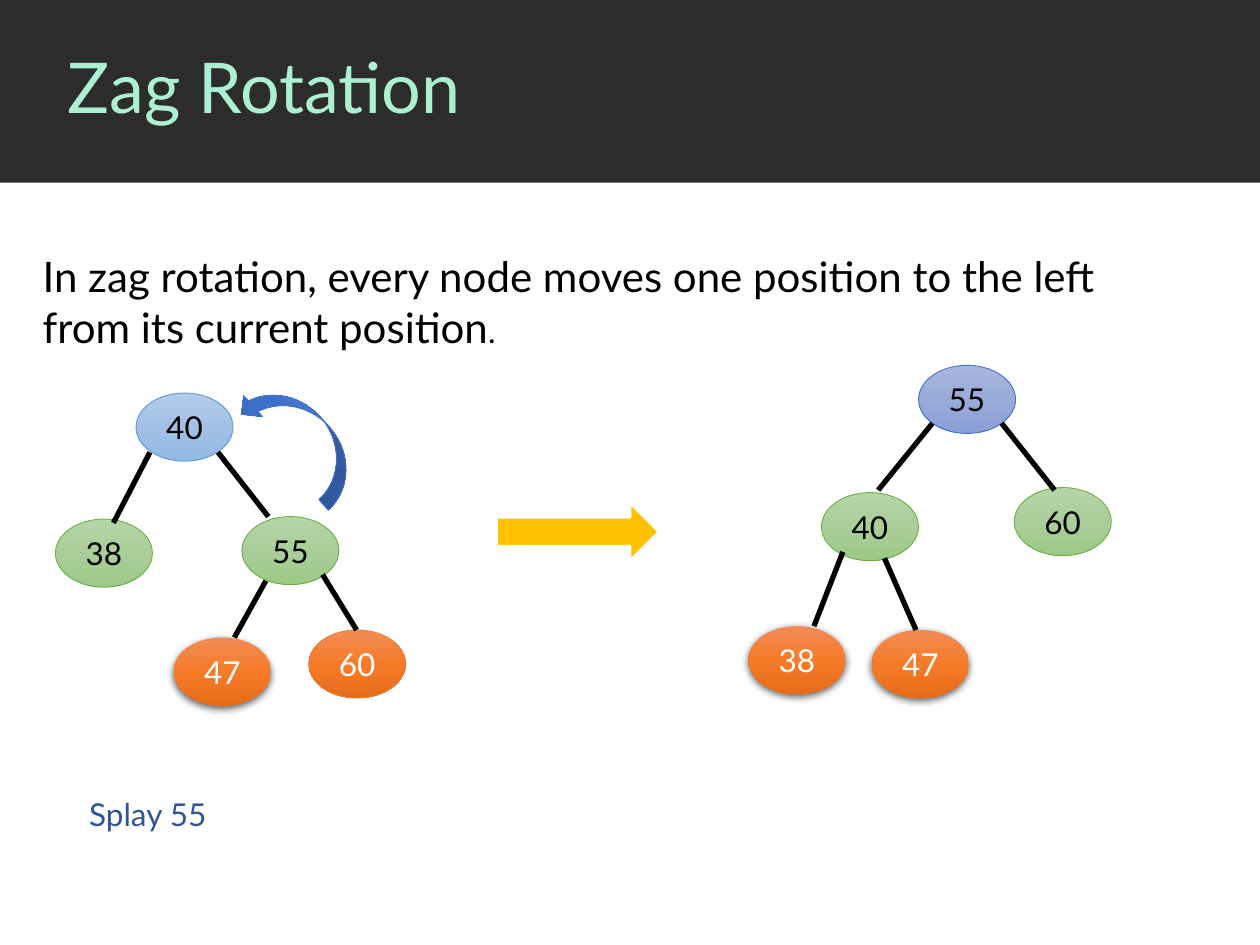
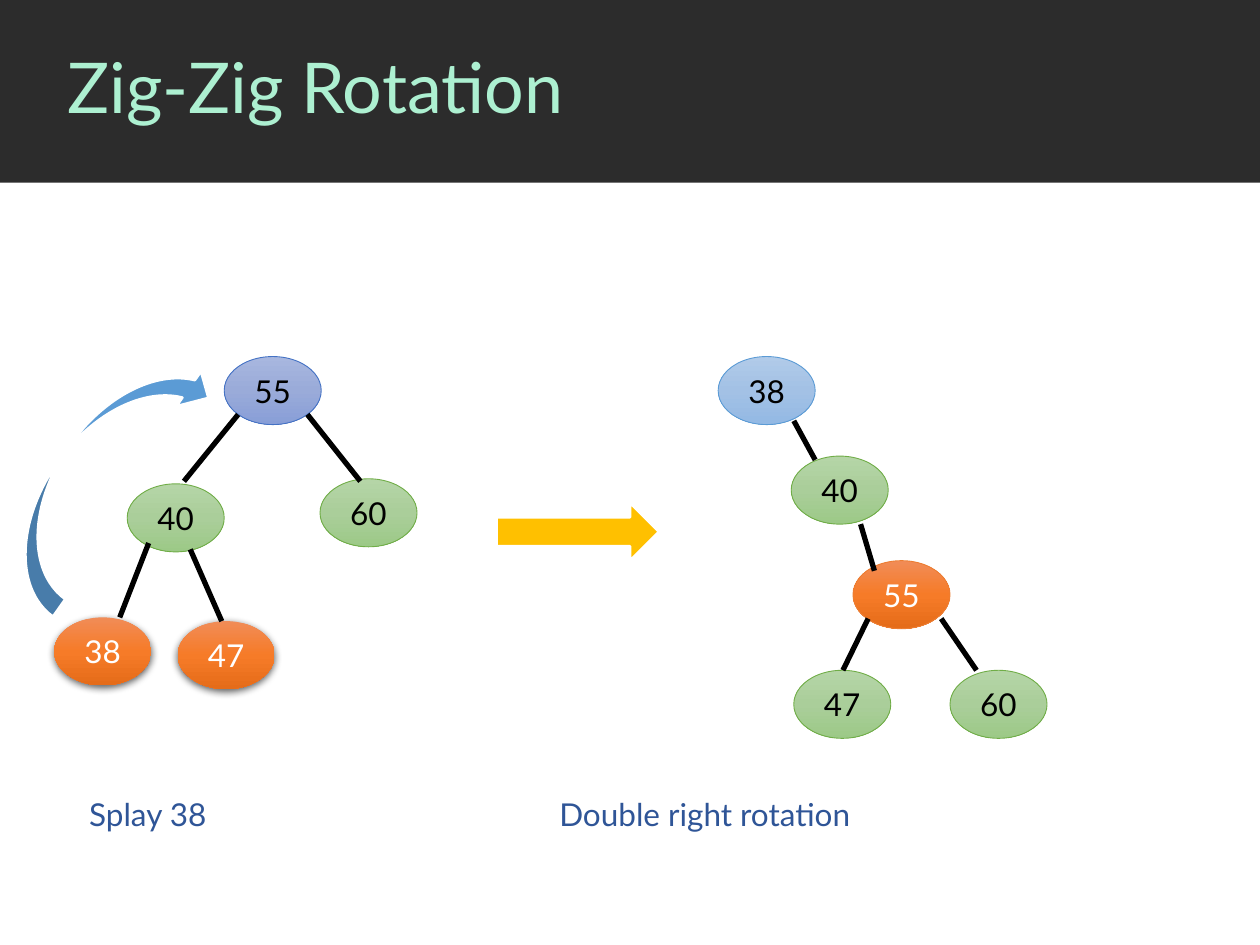
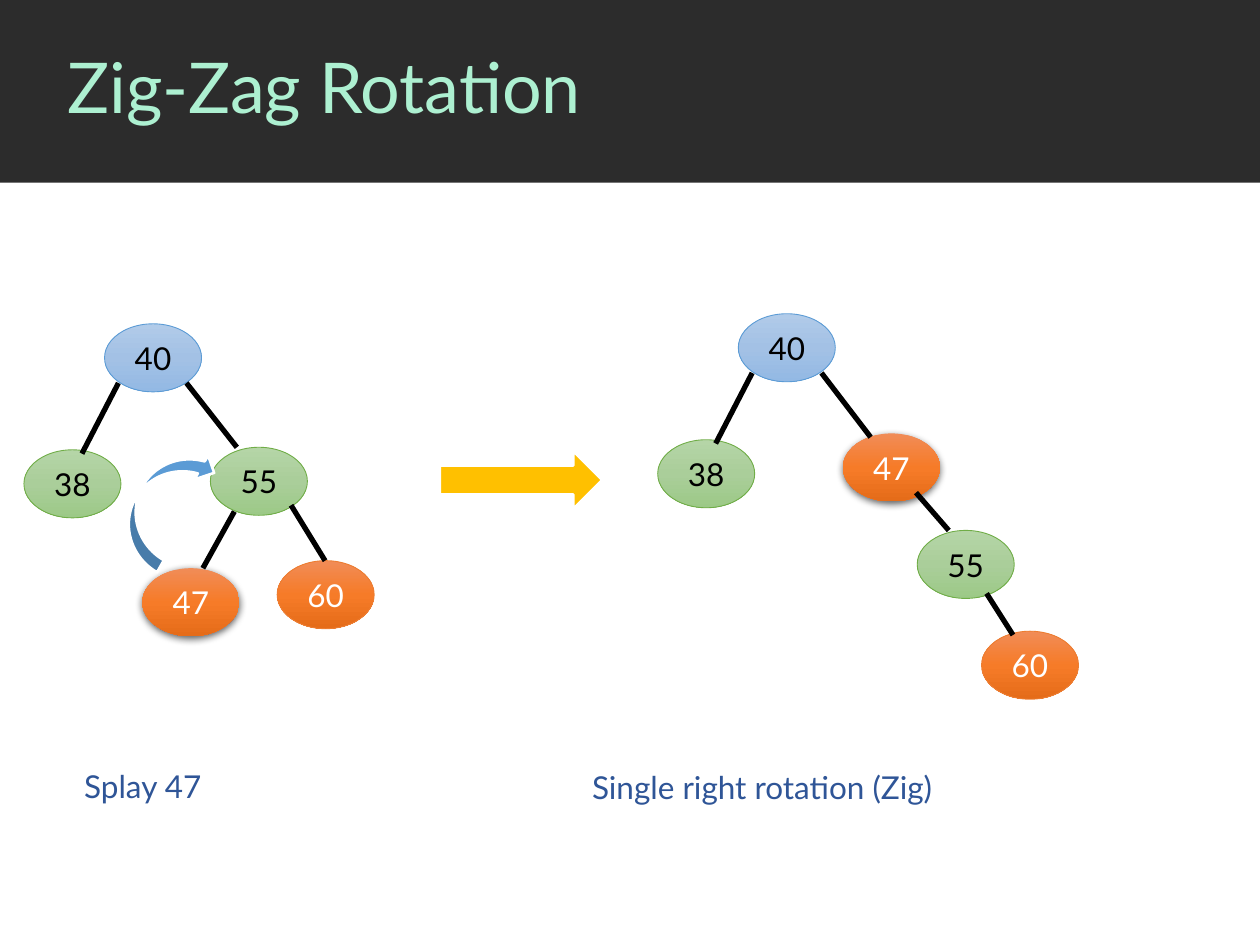
"""Builds three slides on splay tree rotations."""
from copy import deepcopy
from dataclasses import dataclass
from typing import Optional

from lxml import etree
from pptx import Presentation
from pptx.dml.color import RGBColor
from pptx.enum.shapes import MSO_CONNECTOR, MSO_SHAPE
from pptx.enum.text import MSO_ANCHOR, PP_ALIGN
from pptx.oxml.ns import qn
from pptx.util import Pt

PX = 9144
SLIDE_WIDTH, SLIDE_HEIGHT = 1000, 750
NODE_WIDTH, NODE_HEIGHT = 77, 54
FONT = "Lato"

RECTANGLE = MSO_SHAPE.RECTANGLE
OVAL = MSO_SHAPE.OVAL
RIGHT_ARROW = MSO_SHAPE.RIGHT_ARROW
CURVED_ARROW = MSO_SHAPE.CURVED_DOWN_ARROW
STRAIGHT = MSO_CONNECTOR.STRAIGHT
MIDDLE, TOP = MSO_ANCHOR.MIDDLE, MSO_ANCHOR.TOP
LEFT, CENTER = PP_ALIGN.LEFT, PP_ALIGN.CENTER

BLACK = RGBColor(0x00, 0x00, 0x00)
WHITE = RGBColor(0xFF, 0xFF, 0xFF)
CHARCOAL = RGBColor(0x2C, 0x2C, 0x2C)
MINT = RGBColor(0xAD, 0xF0, 0xD1)
NAVY = RGBColor(0x2F, 0x55, 0x97)
GOLD = RGBColor(0xFF, 0xC0, 0x00)
SKY = RGBColor(0x5B, 0x9B, 0xD5)
SKY_TOP = RGBColor(0xB1, 0xCB, 0xE9)
SKY_MIDDLE = RGBColor(0xA3, 0xC1, 0xE5)
SKY_BOTTOM = RGBColor(0x93, 0xB9, 0xE4)
BLUE = RGBColor(0x44, 0x72, 0xC4)
BLUE_TOP = RGBColor(0x61, 0x83, 0xCB)
BLUE_MIDDLE = RGBColor(0x3E, 0x70, 0xCA)
BLUE_BOTTOM = RGBColor(0x30, 0x62, 0xBB)
LILAC_TOP = RGBColor(0xA8, 0xB7, 0xDF)
LILAC_MIDDLE = RGBColor(0x9A, 0xAB, 0xD9)
LILAC_BOTTOM = RGBColor(0x88, 0x9E, 0xD7)
GREEN = RGBColor(0x70, 0xAD, 0x47)
GREEN_TOP = RGBColor(0xB5, 0xD5, 0xA7)
GREEN_MIDDLE = RGBColor(0xAA, 0xCE, 0x9A)
GREEN_BOTTOM = RGBColor(0x9C, 0xC9, 0x87)
ORANGE = RGBColor(0xED, 0x7D, 0x31)
ORANGE_TOP = RGBColor(0xF1, 0x8C, 0x57)
ORANGE_MIDDLE = RGBColor(0xF6, 0x7B, 0x28)
ORANGE_BOTTOM = RGBColor(0xE5, 0x6C, 0x19)


@dataclass(frozen=True)
class Look:
    """Fill colours from top to bottom, outline, text colour and shadow."""
    fills: tuple[RGBColor, ...]
    outline: Optional[RGBColor] = None
    outline_width: float = 0.5
    text: RGBColor = BLACK
    shadow: bool = False


@dataclass(frozen=True)
class Node:
    """A tree node with its key and top left corner."""
    key: int
    x: int
    y: int
    look: Look


@dataclass(frozen=True)
class Tree:
    """Nodes and the edges (x1, y1, x2, y2) that join them."""
    nodes: tuple[Node, ...]
    edges: tuple[tuple[int, int, int, int], ...]


@dataclass(frozen=True)
class Turn:
    """A curved arrow that shows which way a node is rotated."""
    box: tuple[int, int, int, int]
    angle: float
    look: Look
    flipped: bool = False


@dataclass(frozen=True)
class Caption:
    """A line of text below a tree."""
    text: str
    box: tuple[int, int, int, int]


@dataclass(frozen=True)
class RotationSlide:
    """The content of one slide; each tree comes with its offset."""
    title: str
    trees: tuple[tuple[Tree, int, int], ...]
    turn: Turn
    step_arrow: tuple[int, int]
    captions: tuple[Caption, ...]
    intro: str = ""


BAND = Look((CHARCOAL,))
STEP = Look((GOLD,), WHITE, 1.5)
PLAIN_TURN = Look((SKY,), WHITE, 1.5)
BLUE_TURN = Look((BLUE_TOP, BLUE_MIDDLE, BLUE_BOTTOM), BLUE)
SKY_NODE = Look((SKY_TOP, SKY_MIDDLE, SKY_BOTTOM), SKY)
LILAC_NODE = Look((LILAC_TOP, LILAC_MIDDLE, LILAC_BOTTOM), BLUE)
GREEN_NODE = Look((GREEN_TOP, GREEN_MIDDLE, GREEN_BOTTOM), GREEN)
ORANGE_FILLS = (ORANGE_TOP, ORANGE_MIDDLE, ORANGE_BOTTOM)
ORANGE_NODE = Look(ORANGE_FILLS, ORANGE, text=WHITE)
RAISED_NODE = Look(ORANGE_FILLS, text=WHITE, shadow=True)

ROOT_40 = Tree(
    (Node(55, 192, 410, GREEN_NODE), Node(47, 138, 506, RAISED_NODE),
     Node(38, 44, 412, GREEN_NODE), Node(60, 245, 500, ORANGE_NODE),
     Node(40, 108, 312, SKY_NODE)),
    ((211, 461, 186, 506), (173, 359, 213, 410),
     (256, 456, 283, 500), (119, 359, 90, 415)))
ROOT_55 = Tree(
    (Node(55, 729, 290, LILAC_NODE), Node(47, 692, 500, RAISED_NODE),
     Node(38, 594, 497, RAISED_NODE), Node(60, 805, 387, GREEN_NODE),
     Node(40, 652, 391, GREEN_NODE)),
    ((740, 336, 697, 389), (702, 443, 727, 500),
     (795, 336, 837, 389), (669, 438, 646, 497)))
ZIG_ZIG_RESULT = Tree(
    (Node(55, 677, 445, ORANGE_NODE), Node(47, 630, 532, GREEN_NODE),
     Node(60, 754, 532, GREEN_NODE), Node(40, 628, 362, GREEN_NODE),
     Node(38, 570, 283, SKY_NODE)),
    ((689, 491, 669, 532), (630, 334, 647, 365),
     (747, 491, 775, 532), (683, 416, 694, 453)))
ZIG_ZAG_RESULT = Tree(
    (Node(55, 728, 421, GREEN_NODE), Node(47, 669, 344, RAISED_NODE),
     Node(38, 522, 349, GREEN_NODE), Node(60, 779, 501, ORANGE_NODE),
     Node(40, 586, 249, SKY_NODE)),
    ((727, 391, 753, 421), (652, 296, 691, 347),
     (783, 471, 804, 504), (597, 296, 568, 352)))

SLIDES = (
    RotationSlide(
        "Zag Rotation",
        ((ROOT_40, 0, 0), (ROOT_55, 0, 0)),
        Turn((182, 325, 114, 45), 47.7, BLUE_TURN, flipped=True),
        (394, 399),
        (Caption("Splay 55", (61, 626, 137, 40)),),
        "In zag rotation, every node moves one position to the left "
        "from its current position"),
    RotationSlide(
        "Zig-Zig Rotation",
        ((ROOT_55, -551, -7), (ZIG_ZIG_RESULT, 0, 0)),
        Turn((-34, 342, 230, 68), 305.4, PLAIN_TURN),
        (394, 399),
        (Caption("Splay 38", (61, 626, 137, 40)),
         Caption("Double right rotation", (434, 626, 261, 40)))),
    RotationSlide(
        "Zig-Zag Rotation",
        ((ZIG_ZAG_RESULT, 0, 0), (ROOT_40, -25, -55)),
        Turn((80, 377, 102, 44), 299.9, PLAIN_TURN),
        (349, 358),
        (Caption("Splay 47", (57, 604, 137, 40)),
         Caption("Single right rotation (Zig)", (460, 605, 305, 40)))),
)


def write_text(frame, text: str, *, size: int = 18, color: RGBColor = BLACK,
               align: PP_ALIGN = LEFT, anchor: MSO_ANCHOR = TOP,
               spacing: float = 1.0) -> None:
    """Append a formatted run to the first paragraph of a frame."""
    frame.word_wrap = True
    frame.vertical_anchor = anchor
    paragraph = frame.paragraphs[0]
    paragraph.alignment = align
    paragraph.line_spacing = spacing
    run = paragraph.add_run()
    run.text = text
    run.font.name = FONT
    run.font.size = Pt(size)
    run.font.color.rgb = color


def add_text_frame(slide, box: tuple[int, int, int, int]):
    """Add a text box and return its frame."""
    return slide.shapes.add_textbox(*(PX * length for length in box)).text_frame


def fill_gradient(shape, colors: tuple[RGBColor, ...]) -> None:
    """Fill a shape with evenly spaced colours from top to bottom."""
    shape.fill.gradient()
    shape.fill.gradient_angle = 270
    stop_list = shape.element.spPr.find(".//" + qn("a:gsLst"))
    while len(stop_list) < len(colors):
        stop_list.append(deepcopy(stop_list[-1]))
    for index, (stop, color) in enumerate(zip(shape.fill.gradient_stops, colors)):
        stop.position = index / (len(colors) - 1)
        stop.color.rgb = color


def add_drop_shadow(shape) -> None:
    """Give a shape a soft shadow straight below it."""
    effects = shape.element.spPr.find(qn("a:effectLst"))
    shadow = etree.SubElement(effects, qn("a:outerShdw"), blurRad=str(Pt(4.5)),
                              dist=str(Pt(1.5)), dir="5400000", rotWithShape="0")
    color = etree.SubElement(shadow, qn("a:srgbClr"), val=str(BLACK))
    etree.SubElement(color, qn("a:alpha"), val="63000")


def add_figure(slide, kind: MSO_SHAPE, box: tuple[int, int, int, int], look: Look):
    """Add a preset shape in the given look."""
    shape = slide.shapes.add_shape(kind, *(PX * length for length in box))
    shape.shadow.inherit = False
    if len(look.fills) > 1:
        fill_gradient(shape, look.fills)
    else:
        shape.fill.solid()
        shape.fill.fore_color.rgb = look.fills[0]
    if look.outline is None:
        shape.line.fill.background()
    else:
        shape.line.color.rgb = look.outline
        shape.line.width = Pt(look.outline_width)
    if look.shadow:
        add_drop_shadow(shape)
    return shape


def add_edge(slide, x1: int, y1: int, x2: int, y2: int) -> None:
    """Join two nodes with a thick black line."""
    edge = slide.shapes.add_connector(STRAIGHT, PX * x1, PX * y1, PX * x2, PX * y2)
    edge.line.color.rgb = BLACK
    edge.line.width = Pt(3)
    etree.SubElement(edge.element.spPr, qn("a:effectLst"))


def add_tree(slide, tree: Tree, dx: int, dy: int) -> None:
    """Draw a tree moved by the given offset."""
    for node in tree.nodes:
        box = (node.x + dx, node.y + dy, NODE_WIDTH, NODE_HEIGHT)
        oval = add_figure(slide, OVAL, box, node.look)
        write_text(oval.text_frame, str(node.key), color=node.look.text,
                   align=CENTER, anchor=MIDDLE)
    for x1, y1, x2, y2 in tree.edges:
        add_edge(slide, x1 + dx, y1 + dy, x2 + dx, y2 + dy)


def add_turn(slide, turn: Turn) -> None:
    """Draw the curved arrow of a rotation."""
    arrow = add_figure(slide, CURVED_ARROW, turn.box, turn.look)
    arrow.rotation = turn.angle
    if turn.flipped:
        arrow.element.spPr.xfrm.set("flipH", "1")


def add_header(slide, title: str) -> None:
    """Draw the dark band with the slide title."""
    add_figure(slide, RECTANGLE, (0, 0, SLIDE_WIDTH, 145), BAND)
    write_text(add_text_frame(slide, (44, 0, 956, 144)), title, size=40,
               color=MINT, anchor=MIDDLE, spacing=0.9)


def add_rotation_slide(deck, content: RotationSlide) -> None:
    """Add one slide that shows a rotation before and after."""
    slide = deck.slides.add_slide(deck.slide_layouts[6])
    add_header(slide, content.title)
    for tree, dx, dy in content.trees:
        add_tree(slide, tree, dx, dy)
    add_turn(slide, content.turn)
    add_figure(slide, RIGHT_ARROW, (*content.step_arrow, 129, 46), STEP)
    for caption in content.captions:
        write_text(add_text_frame(slide, caption.box), caption.text, color=NAVY)
    if content.intro:
        intro = add_text_frame(slide, (24, 194, 931, 91))
        write_text(intro, content.intro, size=24)
        write_text(intro, ".")


def main() -> None:
    """Build and save the presentation."""
    deck = Presentation()
    deck.slide_width, deck.slide_height = PX * SLIDE_WIDTH, PX * SLIDE_HEIGHT
    for content in SLIDES:
        add_rotation_slide(deck, content)
    deck.save("out.pptx")


if __name__ == "__main__":
    main()
